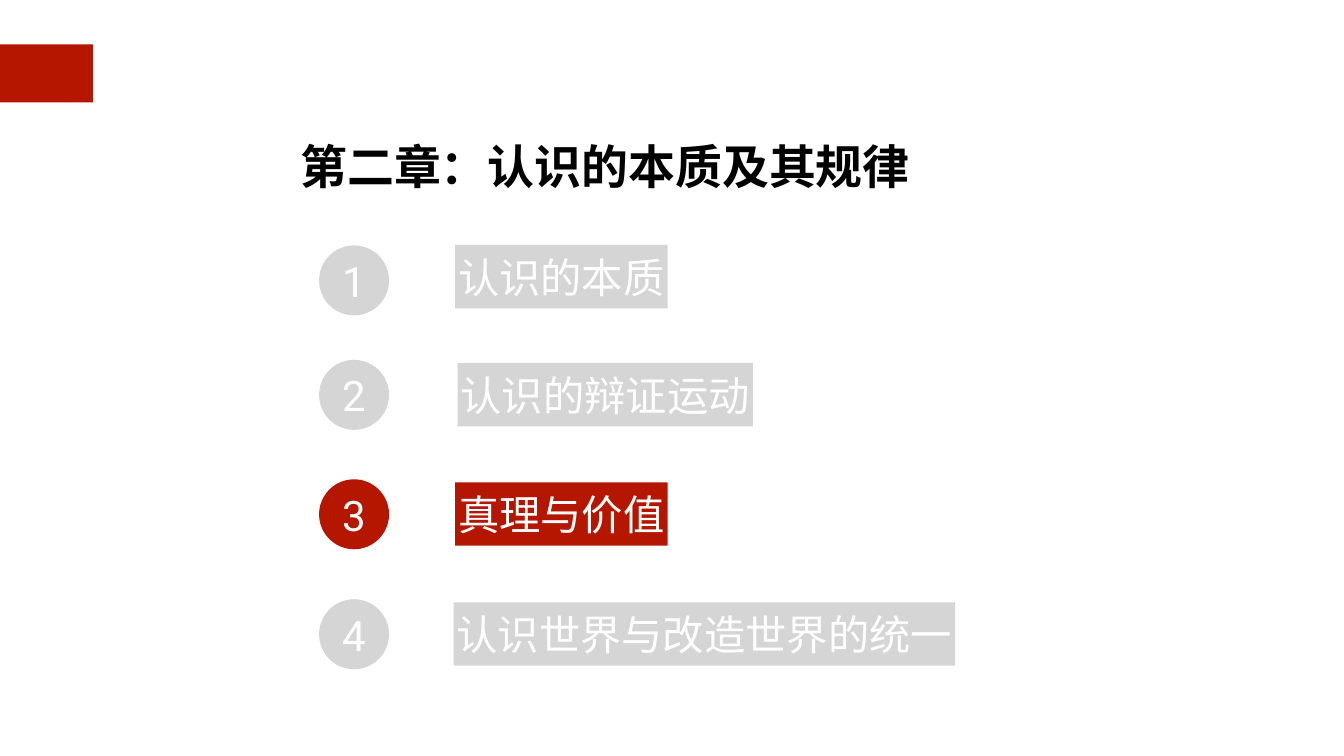
from lxml.etree import SubElement
from pptx import Presentation
from pptx.dml.color import RGBColor
from pptx.enum.shapes import MSO_SHAPE
from pptx.enum.text import MSO_ANCHOR, MSO_AUTO_SIZE, PP_ALIGN
from pptx.oxml.ns import qn
from pptx.util import Pt

COLORS = {"red": "B51600", "gray": "D5D5D5", "white": "FFFFFF", "black": "000000"}
SIZE = 59  # label text
DISC = 100  # diameter of a number disc
INSET = 4.3

# text, top of disc, left of label, offset of label from top of disc, colour
ITEMS = [
    ("认识的本质", 350.6, 650.2, -0.7, "gray"),
    ("认识的辩证运动", 514.1, 653.8, 4.3, "gray"),
    ("真理与价值", 684.7, 650.2, 4.3, "red"),
    ("认识世界与改造世界的统一", 856.1, 648, 4.3, "gray"),
]


def rgb(name):
    return RGBColor.from_string(COLORS[name])


def put_text(shape, text, size, font="Roboto", color="white", bold=False,
             align=PP_ALIGN.CENTER, inset=INSET, side=INSET, grow=True, spacing=None):
    frame = shape.text_frame
    frame.word_wrap = not grow
    frame.auto_size = MSO_AUTO_SIZE.SHAPE_TO_FIT_TEXT if grow else MSO_AUTO_SIZE.NONE
    frame.vertical_anchor = MSO_ANCHOR.MIDDLE
    frame.margin_left = frame.margin_right = Pt(side)
    frame.margin_top = frame.margin_bottom = Pt(inset)
    line = frame.paragraphs[0]
    line.alignment = align
    line.line_spacing = spacing
    run = line.add_run()
    run.text = text
    run.font.size = Pt(size)
    run.font.bold = bold
    run.font.color.rgb = rgb(color)
    run.font.name = font
    SubElement(run.font._element, qn("a:ea"), typeface=font)


def add_block(slide, kind, box, color):
    shape = slide.shapes.add_shape(kind, *map(Pt, box))
    shape.shadow.inherit = False
    shape.fill.solid()
    shape.fill.fore_color.rgb = rgb(color)
    shape.line.fill.background()
    return shape


def add_title(slide, box):
    title = slide.shapes.add_textbox(*map(Pt, box))
    put_text(title, "第二章：认识的本质及其规律", 67, font="Arial", color="black",
             bold=True, align=PP_ALIGN.LEFT, spacing=1.5)


def add_item(slide, left, top, number, text, start, shift, color):
    disc = add_block(slide, MSO_SHAPE.OVAL, (left, top, DISC, DISC), color)
    put_text(disc, str(number), 60, inset=0, side=0, grow=False)
    width = SIZE * len(text) + 2 * INSET
    label = add_block(slide, MSO_SHAPE.RECTANGLE, (start, top + shift, width, 90.7), color)
    # Narrower side margins leave room for rounding, so the line never breaks
    put_text(label, text, SIZE, side=2)


def main():
    deck = Presentation()
    deck.slide_width, deck.slide_height = Pt(1920), Pt(1080)
    slide = deck.slides.add_slide(deck.slide_layouts[6])
    add_block(slide, MSO_SHAPE.RECTANGLE, (-2, 63.4, 134.6, 82.8), "red")
    add_title(slide, (424.8, 165.6, 879.8, 102.2))
    for number, (text, top, start, shift, color) in enumerate(ITEMS, 1):
        add_item(slide, 455.8, top, number, text, start, shift, color)
    deck.save("out.pptx")


if __name__ == "__main__":
    main()
